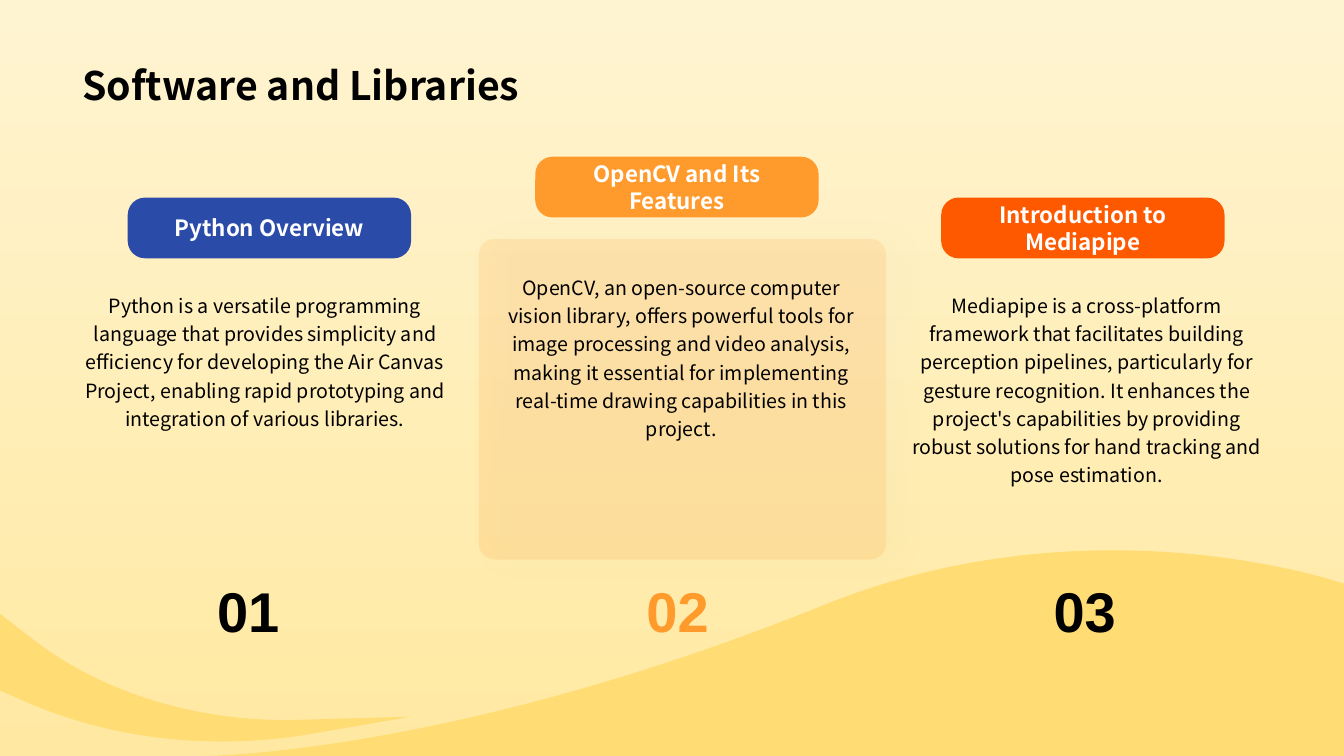
from dataclasses import dataclass

from lxml.etree import SubElement
from pptx import Presentation
from pptx.dml.color import RGBColor
from pptx.enum.shapes import MSO_SHAPE as Preset
from pptx.enum.text import MSO_ANCHOR as Anchor, PP_ALIGN as Align
from pptx.oxml.ns import qn
from pptx.util import Cm, Pt

SANS = "Noto Sans CJK SC"
BLACK, WHITE, ORANGE, SAND = "000000", "FFFFFF", "FF9A2C", "FFDD74"

Point = tuple[float, float]


@dataclass
class Box:
    left: float
    top: float
    width: float
    height: float

    def place(self) -> tuple[Cm, Cm, Cm, Cm]:
        return Cm(self.left), Cm(self.top), Cm(self.width), Cm(self.height)


@dataclass
class Style:
    size: int
    color: str = BLACK
    bold: bool = False
    font: str = SANS
    align: Align = Align.CENTER
    anchor: Anchor = Anchor.TOP
    space: float = 1.0
    wrap: bool = True


@dataclass
class Topic:
    head: str
    body: str
    fill: str
    tint: str
    pill: Point
    text: Point
    mark: float


@dataclass
class Wave:
    """Each step is one point for a line or three points for a cubic curve."""
    box: Box
    start: Point
    steps: list[list[Point]]


TOPICS = [
    Topic("Python Overview",
          "Python is a versatile programming language that provides simplicity "
          "and efficiency for developing the Air Canvas Project, enabling rapid "
          "prototyping and integration of various libraries.",
          "2B4BA9", BLACK, (3.22, 4.98), (1.83, 7.16), 5.2),
    Topic("OpenCV and Its Features",
          "OpenCV, an open-source computer vision library, offers powerful tools "
          "for image processing and video analysis, making it essential for "
          "implementing real-time drawing capabilities in this project.",
          ORANGE, ORANGE, (13.49, 3.95), (12.32, 6.71), 16.02),
    Topic("Introduction to Mediapipe",
          "Mediapipe is a cross-platform framework that facilitates building "
          "perception pipelines, particularly for gesture recognition. It "
          "enhances the project's capabilities by providing robust solutions "
          "for hand tracking and pose estimation.",
          "FF5900", BLACK, (23.72, 4.98), (22.54, 7.16), 26.28),
]

WAVES = [
    Wave(Box(5.1, 13.87, 28.77, 5.18), (20.78, 15.24),
         [[(27.58, 12.5), (33.87, 14.71), (33.87, 14.71)],
          [(33.87, 19.05)], [(5.1, 19.05)],
          [(5.1, 19.05), (11.35, 19.05), (20.78, 15.24)]]),
    Wave(Box(0, 15.47, 10.36, 3.22), (0, 15.47),
         [[(0.79, 16.08)],
          [(2.54, 17.45), (4.98, 18.21), (7.52, 18.14)],
          [(10.36, 18.06)], [(7.87, 18.49)],
          [(5.41, 18.92), (2.82, 18.64), (0.64, 17.68)],
          [(0, 17.4)], [(0, 15.47)]]),
]


def rgb(code: str) -> RGBColor:
    return RGBColor.from_string(code)


def paint(shape, color: str) -> None:
    shape.shadow.inherit = False
    shape.fill.solid()
    shape.fill.fore_color.rgb = rgb(color)
    shape.line.fill.background()


def add_text(shapes, box: Box, text: str, style: Style) -> None:
    frame = shapes.add_textbox(*box.place()).text_frame
    frame.word_wrap = style.wrap
    frame.vertical_anchor = style.anchor
    para = frame.paragraphs[0]
    para.alignment = style.align
    para.line_spacing = style.space
    run = para.add_run()
    run.text = text
    font = run.font
    font.name, font.size, font.bold = style.font, Pt(style.size), style.bold
    font.color.rgb = rgb(style.color)
    SubElement(run._r.get_or_add_rPr(), qn("a:ea"), typeface=style.font)


def add_round(shapes, box: Box, curve: float, color: str):
    shape = shapes.add_shape(Preset.ROUNDED_RECTANGLE, *box.place())
    shape.adjustments[0] = curve
    paint(shape, color)
    return shape


def add_wave(shapes, wave: Wave) -> None:
    """Frame the wave by its box, then swap the frame for true curves."""
    left, top, width, height = wave.box.place()
    pen = shapes.build_freeform(left, top)
    pen.add_line_segments([(left + width, top), (left + width, top + height)])
    shape = pen.convert_to_shape()
    paint(shape, SAND)
    trace = next(shape._element.iter(qn("a:path")))
    for child in list(trace):
        trace.remove(child)

    def draw(tag: str, points: list[Point]) -> None:
        step = SubElement(trace, qn(tag))
        for x, y in points:
            SubElement(step, qn("a:pt"), x=str(Cm(x) - left), y=str(Cm(y) - top))

    draw("a:moveTo", [wave.start])
    for points in wave.steps:
        draw("a:lnTo" if len(points) == 1 else "a:cubicBezTo", points)
    SubElement(trace, qn("a:close"))


def add_card(shapes) -> None:
    """Draw the see-through panel with its soft shadow."""
    card = add_round(shapes, Box(12.07, 6.02, 10.26, 8.08), 0.049, ORANGE)
    props = card._element.spPr
    tone = props.find(qn("a:solidFill")).find(qn("a:srgbClr"))
    SubElement(tone, qn("a:alpha"), val="15000")
    glow = SubElement(props.find(qn("a:effectLst")), qn("a:outerShdw"),
                      blurRad=str(Pt(20)), dist=str(Pt(10)), dir="0",
                      algn="l", rotWithShape="0")
    shade = SubElement(glow, qn("a:srgbClr"), val="A6A6A6")
    SubElement(shade, qn("a:alpha"), val="20000")


def add_topic(shapes, index: int, topic: Topic) -> None:
    left, top = topic.pill
    add_round(shapes, Box(left, top, 7.14, 1.53), 0.284, topic.fill)
    add_text(shapes, Box(left + 0.13, top + 0.08, 6.88, 1.37), topic.head,
             Style(16, WHITE, bold=True, anchor=Anchor.MIDDLE))
    add_text(shapes, Box(*topic.text, 9.7, 1.83), topic.body,
             Style(14, space=1.2))
    add_text(shapes, Box(topic.mark, 14.38, 2.11, 1.96), f"{index:02}",
             Style(40, topic.tint, bold=True, font="Arial",
                   anchor=Anchor.BOTTOM, wrap=False))


def main() -> None:
    deck = Presentation()
    deck.slide_width, deck.slide_height = Cm(33.87), Cm(19.05)
    slide = deck.slides.add_slide(deck.slide_layouts[6])
    back = slide.background.fill
    back.gradient()
    back.gradient_angle = 90
    for stop, color in zip(back.gradient_stops, ("FFE9A2", "FFF4D1")):
        stop.color.rgb = rgb(color)

    shapes = slide.shapes
    for wave in WAVES:
        add_wave(shapes, wave)
    add_card(shapes)
    add_text(shapes, Box(1.83, 0.36, 30.18, 2.49), "Software and Libraries",
             Style(28, bold=True, align=Align.LEFT, anchor=Anchor.BOTTOM))
    for index, topic in enumerate(TOPICS, 1):
        add_topic(shapes, index, topic)
    deck.save("out.pptx")


if __name__ == "__main__":
    main()
